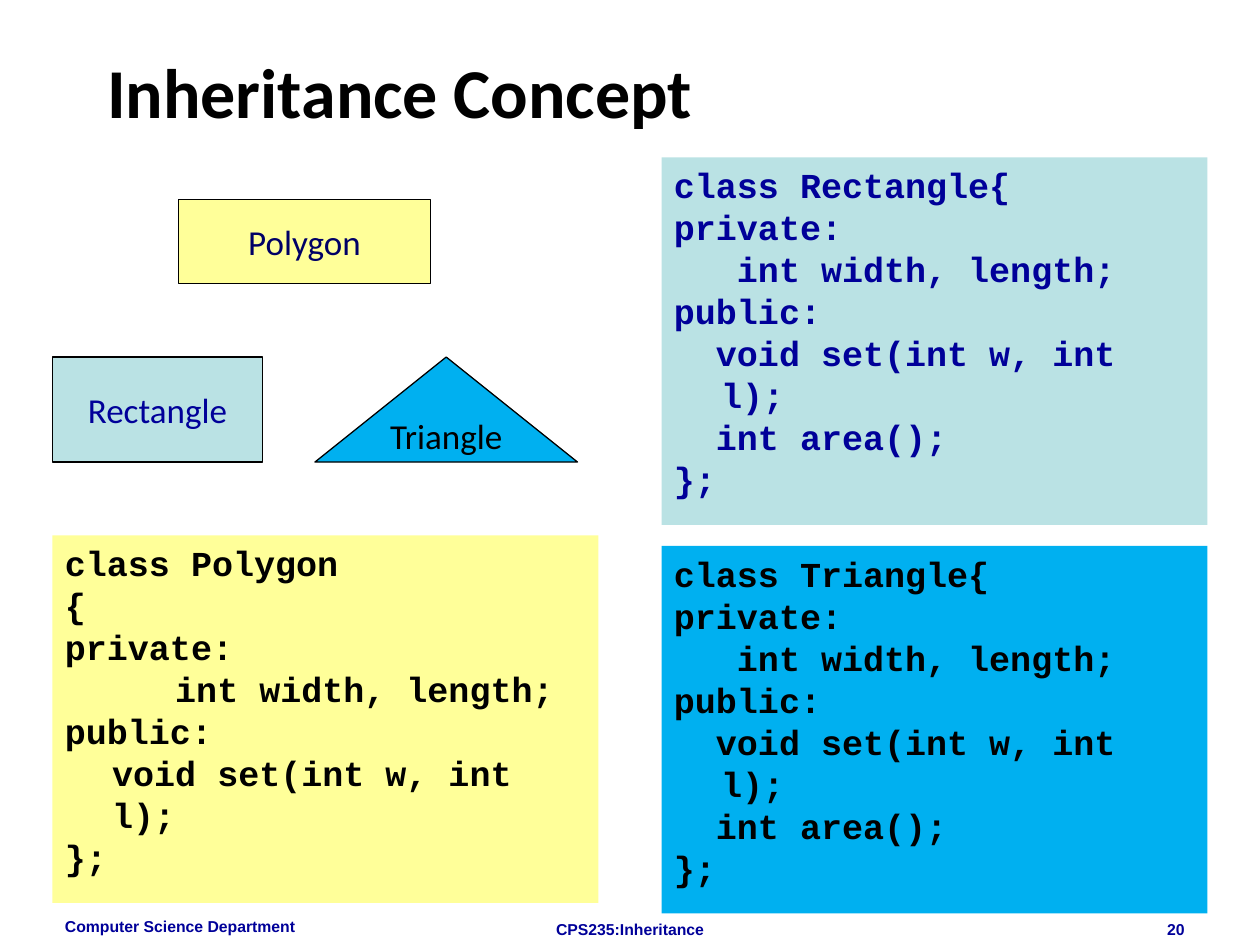
import pptx
import pptx.dml.color
import pptx.enum.shapes
import pptx.enum.text
import pptx.util

Pt = pptx.util.Pt
RGBColor = pptx.dml.color.RGBColor
SHAPE = pptx.enum.shapes.MSO_SHAPE
ALIGN = pptx.enum.text.PP_ALIGN
ANCHOR = pptx.enum.text.MSO_ANCHOR

BLACK = RGBColor(0x00, 0x00, 0x00)
NAVY = RGBColor(0x00, 0x00, 0x66)
BLUE = RGBColor(0x00, 0x00, 0x99)
YELLOW = RGBColor(0xFF, 0xFF, 0x99)
TEAL = RGBColor(0xBA, 0xE2, 0xE4)
CYAN = RGBColor(0x00, 0xB0, 0xF0)

HANGING = Pt(27)

POLYGON_CODE = [
    "class Polygon",
    "{",
    "private:",
    "\t   int width, length;",
    "public:",
    "\tvoid set(int w, int l);",
    "};",
]


def derived_code(name):
    return [
        f"class {name}{{",
        "private:",
        "   int width, length;",
        "public:",
        "  void set(int w, int l);",
        "  int area();",
        "};",
    ]


def add_run(p, text, font, size, color, bold=False):
    r = p.add_run()
    r.text = text
    r.font.name = font
    r.font.size = Pt(size)
    r.font.bold = bold
    r.font.color.rgb = color


def add_box(s, kind, box, fill):
    sp = s.shapes.add_shape(kind, *map(Pt, box))
    sp.shadow.inherit = False
    sp.fill.solid()
    sp.fill.fore_color.rgb = fill
    return sp


def add_title(s, box, text):
    sp = s.shapes.title
    sp.left, sp.top, sp.width, sp.height = map(Pt, box)
    tf = sp.text_frame
    tf.auto_size = pptx.enum.text.MSO_AUTO_SIZE.NONE
    tf.vertical_anchor = ANCHOR.TOP
    p = tf.paragraphs[0]
    p.alignment = ALIGN.LEFT
    add_run(p, text, "Calibri", 40, BLACK, bold=True)


def add_class_shape(s, box, kind, name, fill, color):
    sp = add_box(s, kind, box, fill)
    sp.line.color.rgb = BLACK
    sp.line.width = Pt(0.75)
    tf = sp.text_frame
    tf.word_wrap = False
    tf.vertical_anchor = ANCHOR.MIDDLE
    p = tf.paragraphs[0]
    p.alignment = ALIGN.CENTER
    add_run(p, name, "Calibri", 20, color)


def add_hierarchy(s, box):
    left, top, width, height = box
    child_top = top + 90
    child_height = height - 90
    add_class_shape(s, (left + 72, top, 144, 48), SHAPE.RECTANGLE,
                    "Polygon", YELLOW, NAVY)
    add_class_shape(s, (left, child_top, 120, child_height), SHAPE.RECTANGLE,
                    "Rectangle", TEAL, BLUE)
    add_class_shape(s, (left + width - 150, child_top, 150, child_height),
                    SHAPE.ISOSCELES_TRIANGLE, "Triangle", CYAN, BLACK)


def add_code(s, box, lines, fill, color):
    sp = add_box(s, SHAPE.RECTANGLE, box, fill)
    sp.line.fill.background()
    tf = sp.text_frame
    tf.word_wrap = True
    tf.vertical_anchor = ANCHOR.TOP
    for i, line in enumerate(lines):
        p = tf.add_paragraph() if i else tf.paragraphs[0]
        p.alignment = ALIGN.LEFT
        p.line_spacing = Pt(24)
        # Hanging indent for wrapped lines
        pPr = p._p.get_or_add_pPr()
        pPr.set("marL", str(HANGING))
        pPr.set("indent", str(-HANGING))
        add_run(p, line, "Courier New", 20, color, bold=True)


def add_footer(s, box, text, align):
    tf = s.shapes.add_textbox(*map(Pt, box)).text_frame
    tf.word_wrap = True
    p = tf.paragraphs[0]
    p.alignment = align
    add_run(p, text, "Arial", 9, BLUE, bold=True)


def main():
    prs = pptx.Presentation()
    prs.slide_width, prs.slide_height = Pt(720), Pt(540)
    s = prs.slides.add_slide(prs.slide_layouts[5])

    # Footer
    add_footer(s, (30, 520.5, 168, 19.5), "Computer Science Department", ALIGN.LEFT)
    add_footer(s, (246, 522, 228, 7.5), "CPS235:Inheritance", ALIGN.CENTER)
    add_footer(s, (516, 522, 168, 7.5), "20", ALIGN.RIGHT)

    # Title and class hierarchy
    add_title(s, (54, 24, 612, 54), "Inheritance Concept")
    add_hierarchy(s, (30, 114, 300, 150))

    # Class definitions
    add_code(s, (30, 306, 312, 210), POLYGON_CODE, YELLOW, BLACK)
    add_code(s, (378, 90, 312, 210), derived_code("Rectangle"), TEAL, BLUE)
    add_code(s, (378, 312, 312, 210), derived_code("Triangle"), CYAN, BLACK)

    prs.save("out.pptx")


if __name__ == "__main__":
    main()
